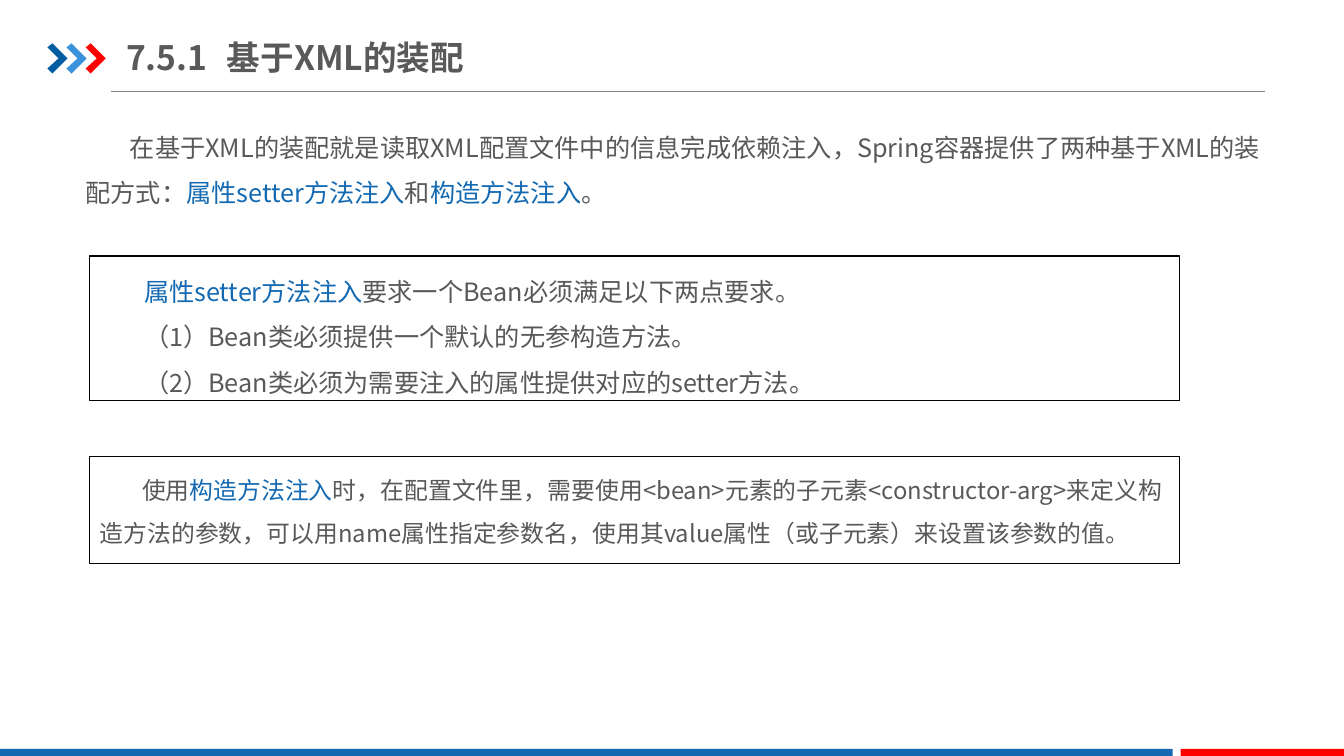
from lxml.etree import SubElement
from pptx import Presentation
from pptx.dml.color import RGBColor
from pptx.enum.shapes import MSO_CONNECTOR, MSO_SHAPE
from pptx.enum.text import MSO_ANCHOR, PP_ALIGN
from pptx.oxml.ns import qn
from pptx.util import Inches, Pt

# Content: each paragraph is a list of (text, colour name) pieces
TITLE = [[("7.5.1\t基于XML的装配", "text")]]
INTRO = [[
    ("在基于XML的装配就是读取XML配置文件中的信息完成依赖注入，"
     "Spring容器提供了两种基于XML的装配方式：", "text"),
    ("属性setter方法注入", "blue"),
    ("和", "text"),
    ("构造方法注入", "blue"),
    ("。", "text"),
]]
SETTER = [
    [("属性setter方法注入", "blue"),
     ("要求一个Bean必须满足以下两点要求。", "text")],
    [("（1）Bean类必须提供一个默认的无参构造方法。", "text")],
    [("（2）Bean类必须为需要注入的属性提供对应的setter方法。", "text")],
]
CONSTRUCTOR = [[
    ("使用", "text"),
    ("构造方法注入", "blue"),
    ("时，在配置文件里，需要使用<bean>元素的子元素<constructor-arg>来定义"
     "构造方法的参数，可以用name属性指定参数名，使用其value属性（或子元素）"
     "来设置该参数的值。", "text"),
]]

# Left, top, width, height in inches
TITLE_AREA = (1.25, 0.29, 4.32, 0.55)
INTRO_AREA = (0.75, 1.11, 11.88, 1.06)
BOXES = [  # area, paragraphs, type size, first-line indent
    ((0.89, 2.54, 10.81, 1.43), SETTER, "body", 0.44),
    ((0.89, 4.53, 10.81, 1.06), CONSTRUCTOR, "small", 0.42),
]
FOOTER_BARS = [(0, 11.63, "blue"), (11.71, 1.63, "red")]
CHEVRON_COLOURS = ["navy", "sky", "red"]
CHEVRON = [(0, 0.04), (0.05, 0), (0.2, 0.15), (0.05, 0.3), (0, 0.25), (0.11, 0.15)]
CHEVRON_LEFT, CHEVRON_TOP, CHEVRON_PITCH = 0.47, 0.43, 0.19

THEME = {
    "font": "Noto Sans CJK SC",
    "sizes": {"title": 24, "body": 18, "small": 17},
    "colours": {"text": "595959", "blue": "1369B2", "red": "FF0000", "navy": "005DA2",
                "sky": "3992DB", "rule": "808080", "border": "000000"},
}


def colour(name):
    return RGBColor.from_string(THEME["colours"][name])


def fill_plain(shape, name):
    shape.shadow.inherit = False
    shape.fill.solid()
    shape.fill.fore_color.rgb = colour(name)
    shape.line.fill.background()


def write(shape, paragraphs, size, spacing=1.5, indent=0, bold=False, tab=None):
    frame = shape.text_frame
    frame.word_wrap = True
    for index, pieces in enumerate(paragraphs):
        paragraph = frame.add_paragraph() if index else frame.paragraphs[0]
        paragraph.alignment = PP_ALIGN.LEFT
        paragraph.line_spacing = spacing
        properties = paragraph._p.get_or_add_pPr()
        properties.set("indent", str(Inches(indent)))
        if tab:
            stops = SubElement(properties, qn("a:tabLst"))
            SubElement(stops, qn("a:tab"), pos=str(Inches(tab)), algn="l")
        font = paragraph.font
        font.name = THEME["font"]
        font.size = Pt(THEME["sizes"][size])
        font.bold = bold
        font.color.rgb = colour("text")
        SubElement(properties.find(qn("a:defRPr")), qn("a:ea"), typeface=THEME["font"])
        for text, name in pieces:
            run = paragraph.add_run()
            run.text = text
            run.font.color.rgb = colour(name)


presentation = Presentation()
presentation.slide_width = Inches(13.33)
presentation.slide_height = Inches(7.5)
slide = presentation.slides.add_slide(presentation.slide_layouts[6])
shapes = slide.shapes

# Rule under the title
rule = shapes.add_connector(
    MSO_CONNECTOR.STRAIGHT, Inches(1.1), Inches(0.91), Inches(12.55), Inches(0.91))
rule.line.color.rgb = colour("rule")
rule.line.width = Pt(0.5)
SubElement(rule._element.spPr, qn("a:effectLst"))

# Chevrons
for index, name in enumerate(CHEVRON_COLOURS):
    left = CHEVRON_LEFT + index * CHEVRON_PITCH
    points = [(Inches(left + x), Inches(CHEVRON_TOP + y)) for x, y in CHEVRON]
    builder = shapes.build_freeform(*points[0])
    builder.add_line_segments(points[1:], close=True)
    fill_plain(builder.convert_to_shape(), name)

# Footer bars
for left, width, name in FOOTER_BARS:
    bar = shapes.add_shape(
        MSO_SHAPE.RECTANGLE, Inches(left), Inches(7.43), Inches(width), Inches(0.09))
    fill_plain(bar, name)

# Title and introduction
title = shapes.add_textbox(*map(Inches, TITLE_AREA))
title.text_frame.margin_left = title.text_frame.margin_right = 0
title.text_frame.vertical_anchor = MSO_ANCHOR.MIDDLE
write(title, TITLE, "title", spacing=1.0, bold=True, tab=1.04)
intro = shapes.add_textbox(*map(Inches, INTRO_AREA))
write(intro, INTRO, "body", indent=0.44)

# Bordered boxes
for area, paragraphs, size, indent in BOXES:
    box = shapes.add_shape(MSO_SHAPE.RECTANGLE, *map(Inches, area))
    box.shadow.inherit = False
    box.fill.background()
    box.line.color.rgb = colour("border")
    box.line.width = Pt(0.75)
    box.text_frame.vertical_anchor = MSO_ANCHOR.TOP
    write(box, paragraphs, size, indent=indent)

presentation.save("out.pptx")
